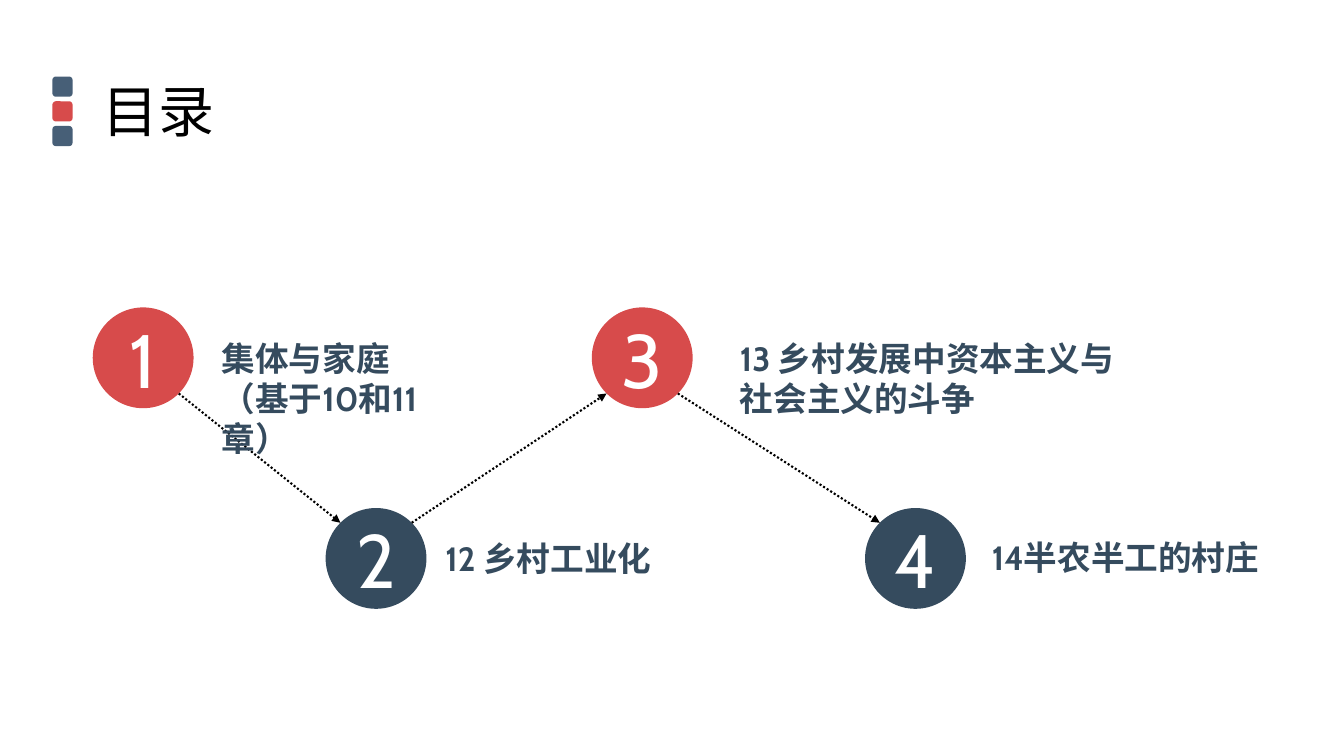
import math
import pptx
import pptx.util
import pptx.dml.color
import pptx.enum.dml
import pptx.enum.shapes
import pptx.enum.text
import pptx.oxml.ns
from lxml import etree

Inches, Pt = pptx.util.Inches, pptx.util.Pt
SHAPE = pptx.enum.shapes.MSO_SHAPE
ALIGN = pptx.enum.text.PP_ALIGN
ANCHOR = pptx.enum.text.MSO_ANCHOR
qn = pptx.oxml.ns.qn

COLORS = {"red": "D74B4B", "navy": "354B5E", "slate": "475F77",
          "black": "000000", "white": "FFFFFF"}
FONT = "Cabin"
TITLE = "目录"
MARKS = ["slate", "red", "slate"]
DIAMETER = 1.0
# number, circle left, circle top, colour
STEPS = [("1", 0.92, 3.05, "red"), ("2", 3.23, 5.04, "navy"),
         ("3", 5.87, 3.05, "red"), ("4", 8.58, 5.04, "navy")]
# lines, left, top, width, height, wrap
LABELS = [
    (["集体与家庭", "（基于10和11章）"], 2.1, 3.3, 2.5, 1.31, True),
    (["12 乡村工业化"], 4.32, 5.29, 2.36, 0.5, False),
    (["14半农半工的村庄"], 9.74, 5.28, 2.94, 0.5, False),
    (["13 乡村发展中资本主义与", "社会主义的斗争"], 7.24, 3.3, 4.05, 0.91, False),
]


def rgb(name):
    return pptx.dml.color.RGBColor.from_string(COLORS[name])


def write(tf, lines, size=24, color="navy", bold=False, align=ALIGN.LEFT,
          anchor=ANCHOR.TOP, spacing=None, wrap=True):
    tf.word_wrap = wrap
    tf.vertical_anchor = anchor
    for i, line in enumerate(lines):
        p = tf.paragraphs[0] if i == 0 else tf.add_paragraph()
        p.alignment = align
        p.line_spacing = spacing
        r = p.add_run()
        r.text = line
        r.font.name = FONT
        r.font.size = Pt(size)
        r.font.bold = bold
        r.font.color.rgb = rgb(color)
        latin = r.font._element.find(qn("a:latin"))
        ea = etree.Element(qn("a:ea"), typeface=FONT)
        latin.addnext(ea)


def add_filled(s, kind, left, top, size, color):
    sp = s.shapes.add_shape(kind, Inches(left), Inches(top), Inches(size), Inches(size))
    sp.shadow.inherit = False
    sp.fill.solid()
    sp.fill.fore_color.rgb = rgb(color)
    sp.line.fill.background()
    return sp


def add_arrow(s, start, end):
    """Dotted arrow between the facing 45-degree points of two circles."""
    r = DIAMETER / 2
    reach = r * math.sqrt(0.5)
    (x1, y1), (x2, y2) = start, end
    down = 1 if y2 > y1 else -1
    c = s.shapes.add_connector(
        pptx.enum.shapes.MSO_CONNECTOR.STRAIGHT,
        Inches(x1 + r + reach), Inches(y1 + r + down * reach),
        Inches(x2 + r - reach), Inches(y2 + r - down * reach))
    c.line.color.rgb = rgb("black")
    c.line.width = Pt(1.5)
    c.line.dash_style = pptx.enum.dml.MSO_LINE.ROUND_DOT
    etree.SubElement(c.line._get_or_add_ln(), qn("a:tailEnd"), type="triangle")
    etree.SubElement(c._element.spPr, qn("a:effectLst"))


def main():
    prs = pptx.Presentation()
    prs.slide_width, prs.slide_height = Inches(13.33), Inches(7.5)
    s = prs.slides.add_slide(prs.slide_layouts[5])

    title = s.shapes.title
    title.left, title.top = Inches(0.92), Inches(0.54)
    title.width, title.height = Inches(11.5), Inches(1.18)
    write(title.text_frame, [TITLE], size=40, color="black",
          anchor=ANCHOR.MIDDLE, spacing=0.9)

    for i, color in enumerate(MARKS):
        add_filled(s, SHAPE.ROUNDED_RECTANGLE, 0.52, 0.76 + i * 0.245, 0.2, color)

    for number, left, top, color in STEPS:
        sp = add_filled(s, SHAPE.OVAL, left, top, DIAMETER, color)
        write(sp.text_frame, [number], size=54, color="white",
              align=ALIGN.CENTER, anchor=ANCHOR.MIDDLE)

    for a, b in zip(STEPS, STEPS[1:]):
        add_arrow(s, a[1:3], b[1:3])

    for lines, left, top, width, height, wrap in LABELS:
        box = s.shapes.add_textbox(Inches(left), Inches(top), Inches(width), Inches(height))
        write(box.text_frame, lines, bold=True, wrap=wrap)
        box.text_frame.auto_size = pptx.enum.text.MSO_AUTO_SIZE.SHAPE_TO_FIT_TEXT

    prs.save("out.pptx")


if __name__ == "__main__":
    main()
